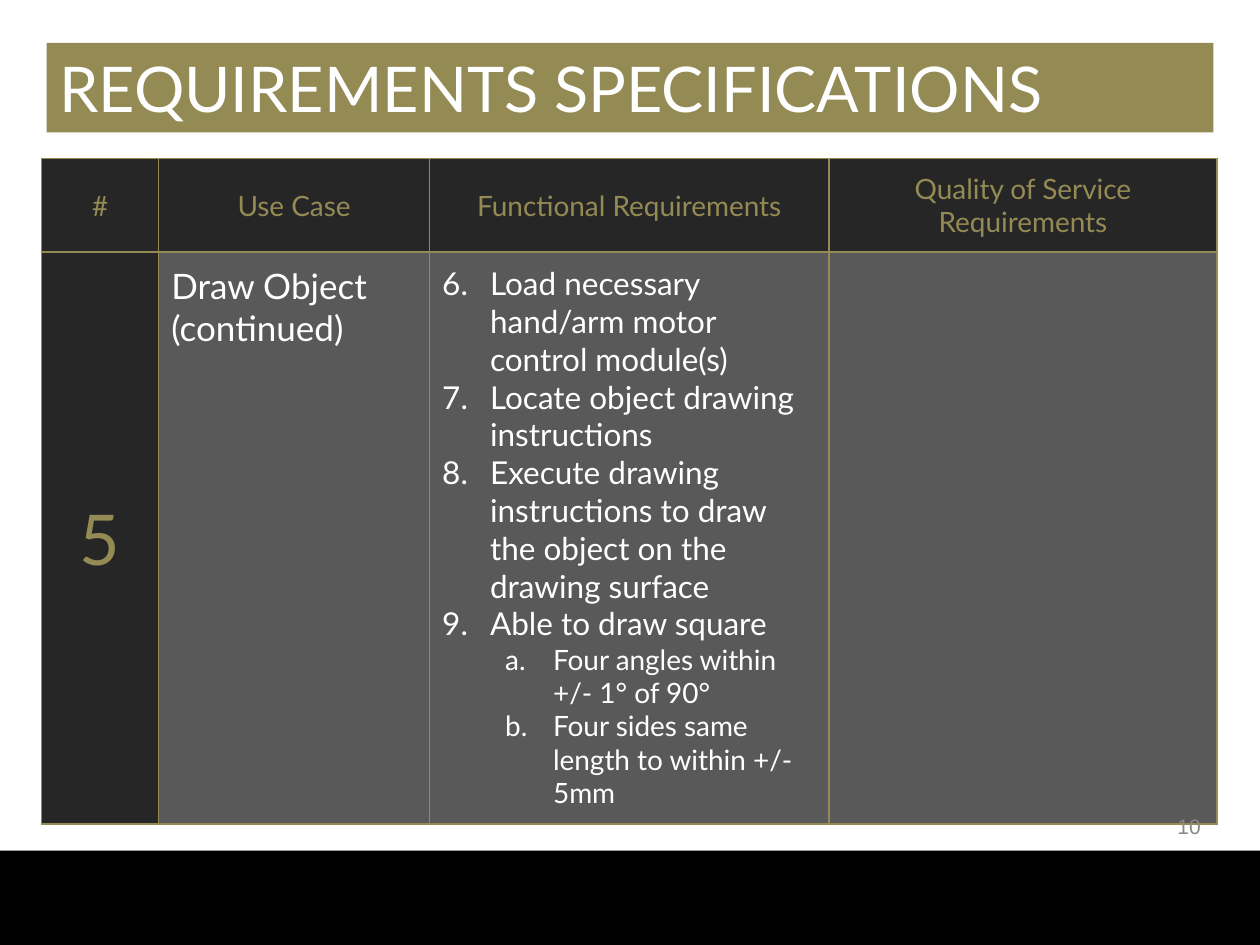
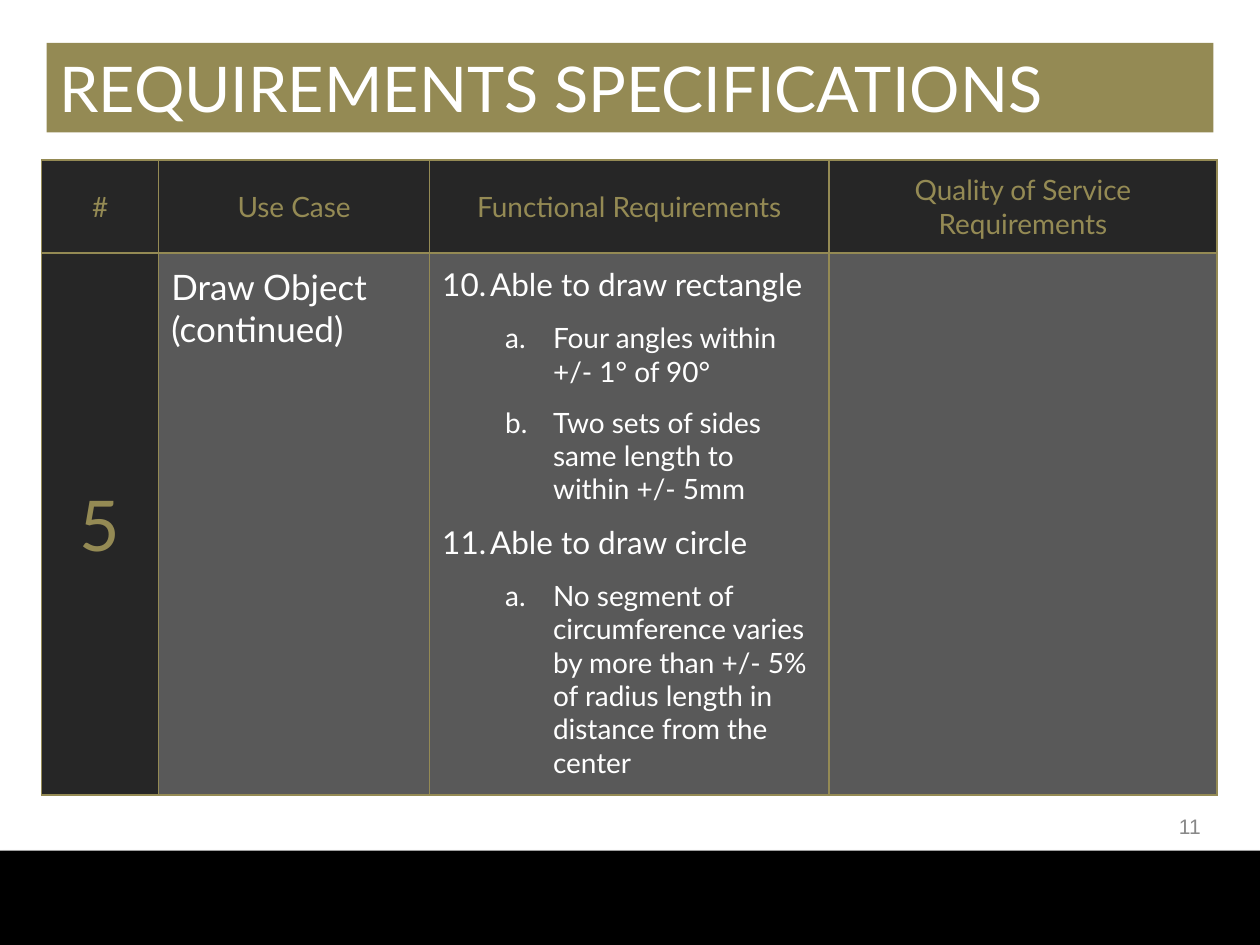
from dataclasses import dataclass

from lxml.etree import SubElement
from pptx import Presentation
from pptx.dml.color import RGBColor
from pptx.enum.shapes import MSO_SHAPE
from pptx.enum.text import MSO_ANCHOR, MSO_AUTO_SIZE, PP_ALIGN
from pptx.oxml.ns import qn
from pptx.util import Inches, Pt


@dataclass(frozen=True)
class Theme:
    gold: str = "948A54"
    dark: str = "262626"
    gray: str = "595959"
    white: str = "FFFFFF"
    black: str = "000000"
    number_gray: str = "888888"
    font: str = "Lato"
    number_font: str = "Arial"
    title_size: int = 36
    case_number_size: int = 40
    case_name_size: int = 20
    item_size: int = 18
    small_size: int = 16
    page_number_size: int = 12


THEME = Theme()
TITLE = "REQUIREMENTS SPECIFICATIONS"
HEADINGS = ["#", "Use Case", "Functional Requirements", "Quality of Service Requirements"]
COLUMN_WIDTHS = [0.93, 2.15, 3.17, 3.08]
HEADER_HEIGHT = 0.74
CASE_NUMBER = "5"
CASE_NAME = "Draw Object\n(continued)"

# Each requirement is (level, wording); numbering runs on from the first number
PAGES = [
    dict(number=10, top=1.26, body_height=4.54, first=6, gap=0, requirements=[
        (0, "Load necessary hand/arm motor control module(s)"),
        (0, "Locate object drawing instructions"),
        (0, "Execute drawing instructions to draw the object on the drawing surface"),
        (0, "Able to draw square"),
        (1, "Four angles within +/- 1° of 90°"),
        (1, "Four sides same length to within +/- 5mm"),
    ]),
    dict(number=11, top=1.27, body_height=4.3, first=10, gap=10, requirements=[
        (0, "Able to draw rectangle"),
        (1, "Four angles within +/- 1° of 90°"),
        (1, "Two sets of sides same length to within +/- 5mm"),
        (0, "Able to draw circle"),
        (1, "No segment of circumference varies by more than +/- 5% of radius length "
            "in distance from the center"),
    ]),
]


def paint(target, color):
    target.fill.solid()
    target.fill.fore_color.rgb = RGBColor.from_string(color)


def style(para, size, color, font=THEME.font, align=PP_ALIGN.LEFT):
    para.alignment = align
    para.font.size = Pt(size)
    para.font.name = font
    para.font.bold = False
    para.font.color.rgb = RGBColor.from_string(color)


def add_band(page):
    """Black band along the foot of the slide, with a soft shadow."""
    band = page.shapes.add_shape(MSO_SHAPE.RECTANGLE, 0, Inches(6.75), Inches(10), Inches(0.75))
    paint(band, THEME.black)
    band.line.fill.background()
    band.shadow.inherit = False
    effects = band._element.spPr.find(qn("a:effectLst"))
    shadow = SubElement(effects, qn("a:outerShdw"), blurRad=str(Pt(3.1)), dist=str(Pt(1.8)),
                        dir="5400000", rotWithShape="0")
    color = SubElement(shadow, qn("a:srgbClr"), val=THEME.black)
    SubElement(color, qn("a:alpha"), val="35000")


def set_title(page):
    title = page.shapes.title
    title.left, title.top = Inches(0.37), Inches(0.34)
    title.width, title.height = Inches(9.26), Inches(0.71)
    paint(title, THEME.gold)
    frame = title.text_frame
    frame.text = TITLE
    frame.auto_size = MSO_AUTO_SIZE.NONE
    frame.vertical_anchor = MSO_ANCHOR.MIDDLE
    style(frame.paragraphs[0], THEME.title_size, THEME.white)


def add_page_number(page, number):
    box = page.shapes.add_textbox(Inches(9.28), Inches(6.41), Inches(0.3), Inches(0.29))
    frame = box.text_frame
    frame.margin_left = frame.margin_right = Inches(0.05)
    frame.margin_top = frame.margin_bottom = Inches(0.05)
    frame.word_wrap = False
    frame.auto_size = MSO_AUTO_SIZE.SHAPE_TO_FIT_TEXT
    frame.vertical_anchor = MSO_ANCHOR.MIDDLE
    para = frame.paragraphs[0]
    para.text = str(number)
    style(para, THEME.page_number_size, THEME.number_gray, THEME.number_font, PP_ALIGN.RIGHT)


def format_cell(cell, fill):
    """Borders come before the fill in the cell properties."""
    properties = cell._tc.get_or_add_tcPr()
    for side in ("lnL", "lnR", "lnT", "lnB"):
        line = SubElement(properties, qn(f"a:{side}"), w=str(Pt(1)))
        solid = SubElement(line, qn("a:solidFill"))
        SubElement(solid, qn("a:srgbClr"), val=THEME.gold)
    paint(cell, fill)
    cell.margin_left = cell.margin_right = Inches(0.1)
    cell.margin_top = cell.margin_bottom = Inches(0.1)


def write_label(cell, text, size):
    cell.vertical_anchor = MSO_ANCHOR.MIDDLE
    para = cell.text_frame.paragraphs[0]
    para.text = text
    style(para, size, THEME.gold, align=PP_ALIGN.CENTER)


def number_paragraph(para, level, first):
    para.level = level
    properties = para._p.get_or_add_pPr()
    properties.set("marL", str(Inches(0.38 + 0.5 * level)))
    properties.set("indent", str(Inches(-0.38)))
    if level:
        SubElement(properties, qn("a:buAutoNum"), type="alphaLcPeriod")
    else:
        SubElement(properties, qn("a:buAutoNum"), type="arabicPeriod", startAt=str(first))


def write_requirements(cell, requirements, first, gap):
    frame = cell.text_frame
    for index, (level, wording) in enumerate(requirements):
        para = frame.add_paragraph() if index else frame.paragraphs[0]
        para.text = wording
        number_paragraph(para, level, first)
        if index and gap:
            para.space_before = Pt(gap)
        style(para, THEME.small_size if level else THEME.item_size, THEME.white)


def add_requirements_table(page, top, body_height, requirements, first, gap):
    shape = page.shapes.add_table(2, len(HEADINGS), Inches(0.33), Inches(top),
                                  Inches(sum(COLUMN_WIDTHS)), Inches(HEADER_HEIGHT + body_height))
    table = shape.table
    table.first_row = table.horz_banding = False
    for column, width in zip(table.columns, COLUMN_WIDTHS):
        column.width = Inches(width)
    for row, height in zip(table.rows, (HEADER_HEIGHT, body_height)):
        row.height = Inches(height)

    # Header row and number column are dark, the rest gray
    for index, heading in enumerate(HEADINGS):
        format_cell(table.cell(0, index), THEME.dark)
        format_cell(table.cell(1, index), THEME.gray if index else THEME.dark)
        write_label(table.cell(0, index), heading, THEME.small_size)

    write_label(table.cell(1, 0), CASE_NUMBER, THEME.case_number_size)
    name = table.cell(1, 1).text_frame.paragraphs[0]
    name.text = CASE_NAME
    style(name, THEME.case_name_size, THEME.white)
    write_requirements(table.cell(1, 2), requirements, first, gap)


def main():
    deck = Presentation()
    deck.slide_width, deck.slide_height = Inches(10), Inches(7.5)
    for content in PAGES:
        page = deck.slides.add_slide(deck.slide_layouts[5])
        paint(page.background, THEME.white)
        add_band(page)
        set_title(page)
        add_requirements_table(page, content["top"], content["body_height"],
                               content["requirements"], content["first"], content["gap"])
        add_page_number(page, content["number"])
    deck.save("out.pptx")


if __name__ == "__main__":
    main()
